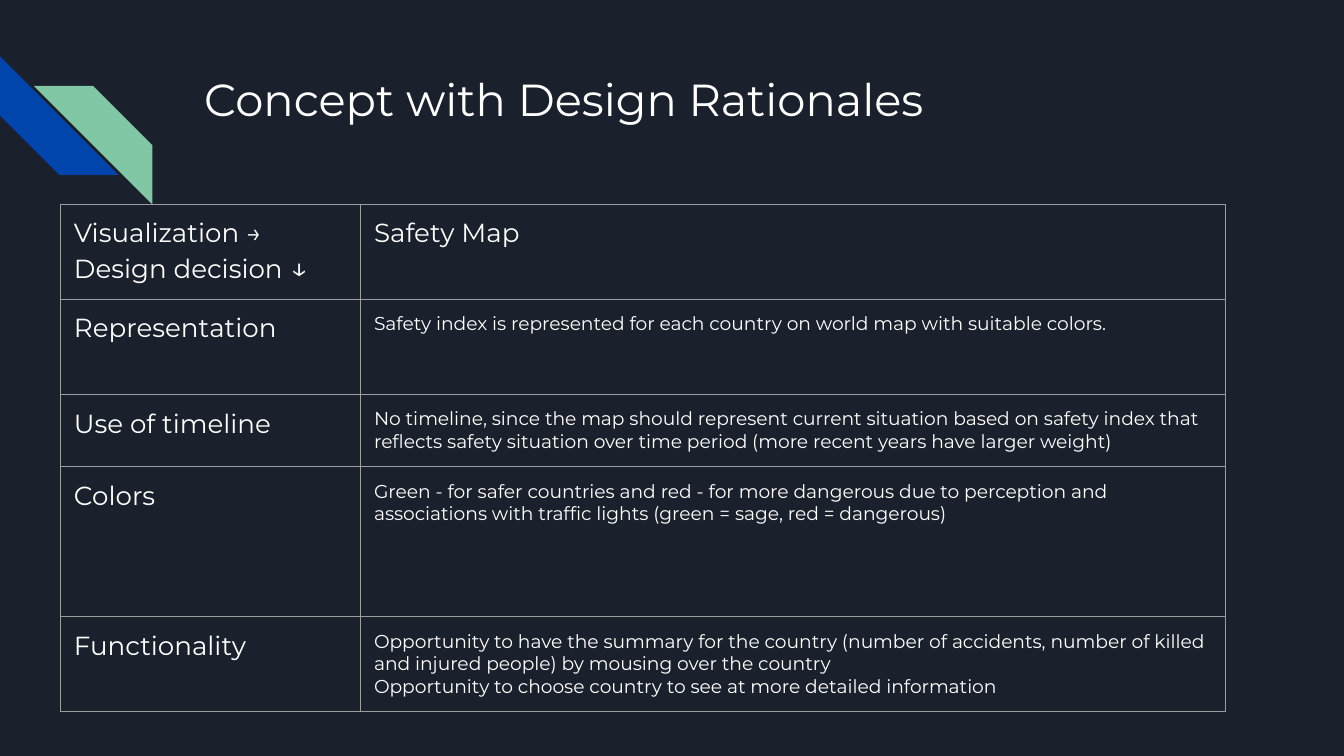
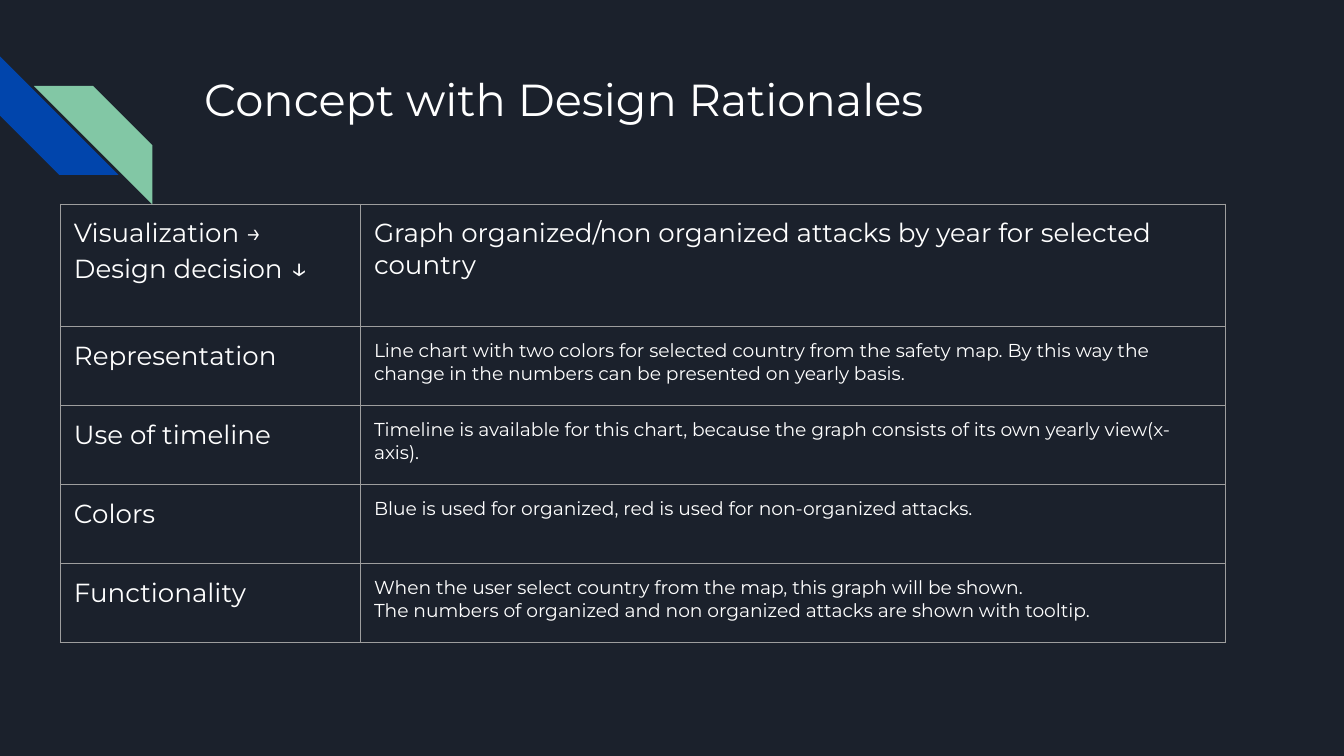
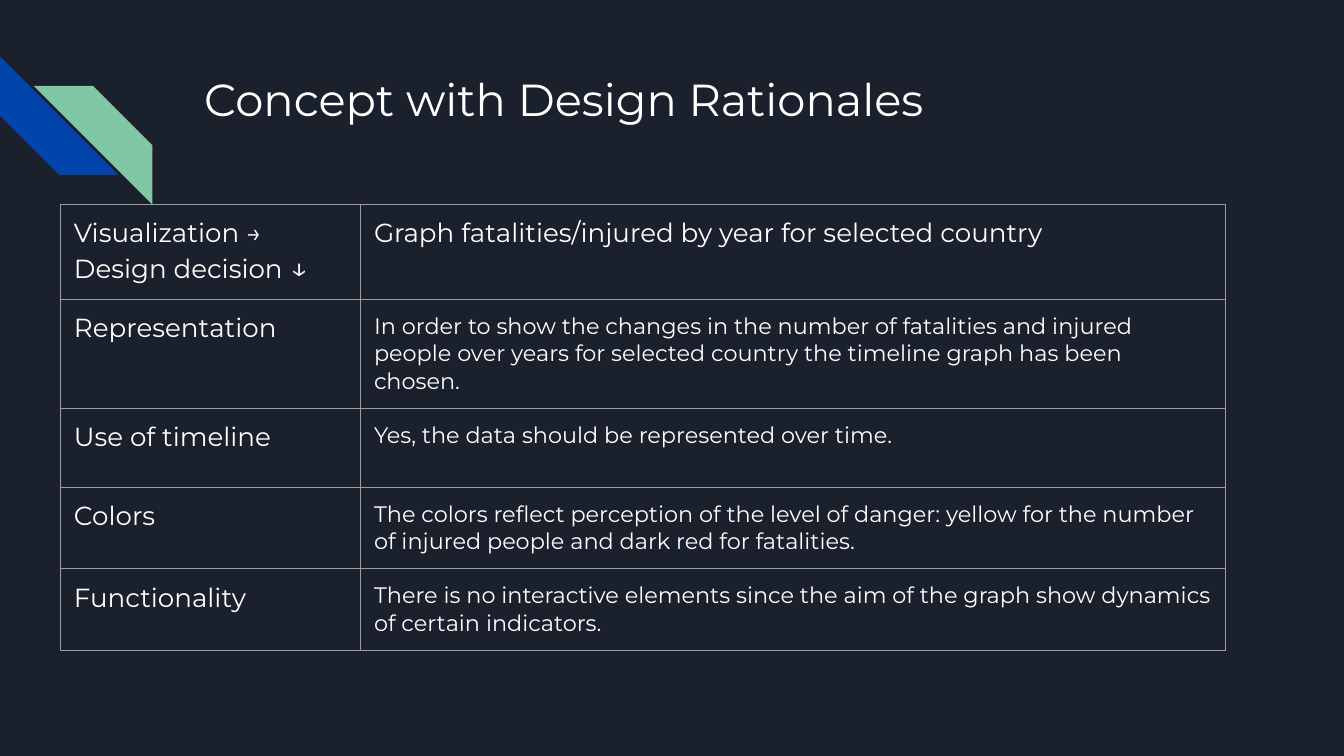
from lxml import etree
from pptx import Presentation
from pptx.dml.color import RGBColor
from pptx.enum.shapes import MSO_SHAPE
from pptx.enum.text import MSO_ANCHOR, MSO_AUTO_SIZE, PP_ALIGN
from pptx.oxml.ns import qn
from pptx.util import Pt

STRIPE = MSO_SHAPE.DIAGONAL_STRIPE
LEFT, TOP, NO_FIT = PP_ALIGN.LEFT, MSO_ANCHOR.TOP, MSO_AUTO_SIZE.NONE

COLORS = {
    "back": "1B212C",
    "blue": "0145AC",
    "green": "82C7A5",
    "text": "FFFFFF",
    "border": "9E9E9E",
}
FONT = "Montserrat"
TITLE_SIZE, HEAD_SIZE, ARROW_SIZE = 24, 14, 16
INSET = Pt(7.2)
FRAME = {"word_wrap": True, "auto_size": NO_FIT, "vertical_anchor": TOP}
MARGINS = ("margin_left", "margin_top", "margin_right", "margin_bottom")
COL_WIDTHS = (160.8, 463.2)


def set_all(obj, values):
    for name, value in values.items():
        setattr(obj, name, value)


def rgb(name):
    return RGBColor.from_string(COLORS[name])


class Deck:
    def __init__(self):
        self.prs = Presentation()
        set_all(self.prs, {"slide_width": Pt(720), "slide_height": Pt(405)})
        self.layout = self.prs.slide_layouts.get_by_name("Title Only")
        self.slide = None

    def new_slide(self):
        self.slide = self.prs.slides.add_slide(self.layout)

    def shared_background(self):
        fill = self.layout.background.fill
        fill.solid()
        fill.fore_color.rgb = rgb("back")

    def shared_stripe(self, left, top, size, color, rotation=0, flip=False):
        """Draw a stripe on the current slide, then hand it to the layout."""
        sp = self.slide.shapes.add_shape(STRIPE, Pt(left), Pt(top), Pt(size), Pt(size))
        sp.shadow.inherit = False
        sp.rotation = rotation
        sp.fill.solid()
        sp.fill.fore_color.rgb = rgb(color)
        sp.line.fill.background()
        if flip:
            sp.element.spPr.find(qn("a:xfrm")).set("flipH", "1")
        self.layout.shapes.element.append(sp.element)

    def run(self, p, text, size):
        r = p.add_run()
        r.text = text
        set_all(r.font, {"name": FONT, "size": Pt(size), "bold": False})
        r.font.color.rgb = rgb("text")

    def title(self, text):
        sp = self.slide.shapes.title
        set_all(sp, {"left": Pt(102.2), "top": Pt(31), "width": Pt(554.4), "height": Pt(72)})
        tf = sp.text_frame
        set_all(tf, FRAME)
        set_all(tf, dict.fromkeys(MARGINS, INSET))
        p = tf.paragraphs[0]
        p.alignment = LEFT
        self.run(p, text, TITLE_SIZE)

    def borders(self, cell):
        tcPr = cell._tc.get_or_add_tcPr()
        for side in ("a:lnL", "a:lnR", "a:lnT", "a:lnB"):
            ln = etree.SubElement(tcPr, qn(side), w=str(Pt(0.75)))
            fill = etree.SubElement(ln, qn("a:solidFill"))
            etree.SubElement(fill, qn("a:srgbClr"), val=COLORS["border"])

    def cell(self, cell, lines, size):
        """Each line is a list of texts; arrows pointing down are set larger."""
        set_all(cell, dict.fromkeys(MARGINS, INSET))
        self.borders(cell)
        cell.fill.background()
        tf = cell.text_frame
        for i, line in enumerate(lines):
            p = tf.add_paragraph() if i else tf.paragraphs[0]
            for text in line:
                self.run(p, text, ARROW_SIZE if text == "↓" else size)

    def table(self, rows, heights, body_size):
        frame = self.slide.shapes.add_table(
            len(rows), len(COL_WIDTHS), Pt(32.4), Pt(109.4),
            Pt(sum(COL_WIDTHS)), Pt(sum(heights)))
        table = frame.table
        set_all(table, {"first_row": False, "horz_banding": False})
        for column, width in zip(table.columns, COL_WIDTHS):
            column.width = Pt(width)
        for i, (label, lines) in enumerate(rows):
            table.rows[i].height = Pt(heights[i])
            self.cell(table.cell(i, 0), label, HEAD_SIZE)
            self.cell(table.cell(i, 1), [[line] for line in lines],
                      body_size if i else HEAD_SIZE)


# Row labels shared by every table
LABELS = [
    [["Visualization →"], ["Design decision ", "↓"]],
    [["Representation"]],
    [["Use of timeline"]],
    [["Colors"]],
    [["Functionality"]],
]

# One entry per slide: row heights, body text size, right-hand column
CONCEPTS = [
    ((49, 51, 34.6, 80.4, 34.6), 10, [
        ["Safety Map"],
        ["Safety index is represented for each country on world map with suitable colors."],
        ["No timeline, since the map should represent current situation based on safety index "
         "that reflects safety situation over time period (more recent years have larger weight)"],
        ["Green - for safer countries and red - for more dangerous due to perception and "
         "associations with traffic lights (green = sage, red = dangerous)"],
        ["Opportunity to have the summary for the country (number of accidents, number of "
         "killed and injured people) by mousing over the country",
         "Opportunity to choose country to see at more detailed information"],
    ]),
    ((65.6, 42.3, 42.3, 42.3, 42.3), 10, [
        ["Graph organized/non organized attacks by year for selected country"],
        ["Line chart with two colors for selected country from the safety map. By this way "
         "the change in the numbers can be presented on yearly basis."],
        ["Timeline is available for this chart, because the graph consists of its own "
         "yearly view(x-axis)."],
        ["Blue is used for organized, red is used for non-organized attacks."],
        ["When the user select country from the map, this graph will be shown.",
         "The numbers of organized and non organized attacks are shown with tooltip."],
    ]),
    ((48.2, 42.3, 42.3, 42.3, 42.3), 12, [
        ["Graph fatalities/injured by year for selected country"],
        ["In order to show the changes in the number of fatalities and injured people over "
         "years for selected country the timeline graph has been chosen."],
        ["Yes, the data should be represented over time."],
        ["The colors reflect perception of the level of danger: yellow for the number of "
         "injured people and dark red for fatalities."],
        ["There is no interactive elements since the aim of the graph show dynamics of "
         "certain indicators."],
    ]),
]


def main():
    deck = Deck()
    deck.shared_background()
    for i, (heights, size, texts) in enumerate(CONCEPTS):
        deck.new_slide()
        if i == 0:
            # Corner stripes, kept on the layout
            deck.shared_stripe(0, 30.2, 63.5, "blue", rotation=270)
            deck.shared_stripe(18.2, 46.1, 63.5, "green", flip=True)
        deck.title("Concept with Design Rationales")
        deck.table(list(zip(LABELS, texts)), heights, size)
    deck.prs.save("out.pptx")


if __name__ == "__main__":
    main()
